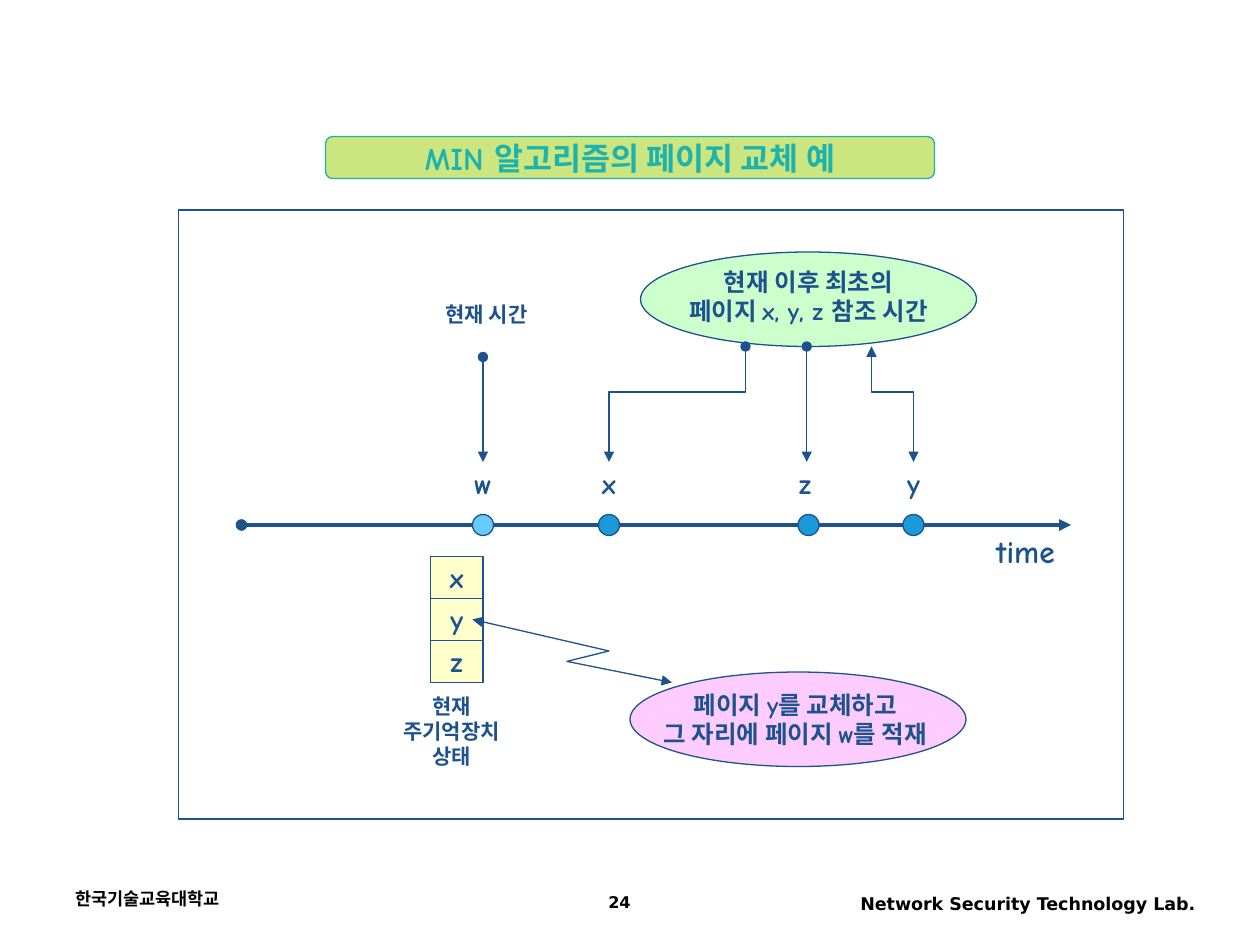
"""Build the slide on page replacement with the MIN algorithm."""
from lxml import etree
from pptx import Presentation
from pptx.dml.color import RGBColor
from pptx.enum.shapes import MSO_CONNECTOR, MSO_SHAPE
from pptx.enum.text import MSO_ANCHOR, MSO_AUTO_SIZE, PP_ALIGN
from pptx.oxml.ns import qn
from pptx.util import Pt

OVAL, RECT = MSO_SHAPE.OVAL, MSO_SHAPE.RECTANGLE
BANNER = MSO_SHAPE.FLOWCHART_ALTERNATE_PROCESS
STRAIGHT = MSO_CONNECTOR.STRAIGHT
LEFT, CENTER, RIGHT = PP_ALIGN.LEFT, PP_ALIGN.CENTER, PP_ALIGN.RIGHT
MIDDLE = MSO_ANCHOR.MIDDLE
NO_FIT = MSO_AUTO_SIZE.NONE
BODY, FOOT = "Comic Neue", "DejaVu Sans"
COLORS = {
    "navy": "1D528D", "teal": "1DB3AC", "lime": "99CC00", "mint": "CCFFCC",
    "pink": "FFCCFF", "cream": "FFFFCC", "sky": "66CCFF", "blue": "1B9AD9",
    "black": "000000",
}


def write(tf, lines, size, color="navy", font=BODY, align=CENTER):
    for i, line in enumerate(lines):
        p = tf.paragraphs[0] if i == 0 else tf.add_paragraph()
        p.alignment = align
        r = p.add_run()
        r.text = line
        r.font.size, r.font.bold, r.font.name = Pt(size), True, font
        r.font.color.rgb = RGBColor.from_string(COLORS[color])


def style(shape, fill=None, line="navy", width=0.75, head=None, tail=None):
    if fill:
        shape.fill.solid()
        shape.fill.fore_color.rgb = RGBColor.from_string(COLORS[fill])
    elif hasattr(shape, "fill"):
        shape.fill.background()
    shape.line.color.rgb = RGBColor.from_string(COLORS[line])
    shape.line.width = Pt(width)
    ln = shape.line._get_or_add_ln()
    for tag, end in (("a:headEnd", head), ("a:tailEnd", tail)):
        if end:
            etree.SubElement(ln, qn(tag), type=end)
    if hasattr(shape, "shadow"):
        shape.shadow.inherit = False
    else:
        etree.SubElement(ln.getparent(), qn("a:effectLst"))


prs = Presentation()
prs.slide_width, prs.slide_height = Pt(720), Pt(540)
s = prs.slides.add_slide(prs.slide_layouts[5])

banner = s.shapes.add_shape(BANNER, Pt(186), Pt(78), Pt(348), Pt(24))
style(banner, "lime", "teal")
lime = banner.element.spPr.find(qn("a:solidFill"))[0]
etree.SubElement(lime, qn("a:alpha"), val="50000")

title = s.shapes.title
title.left, title.top, title.width, title.height = Pt(186), Pt(78), Pt(348), Pt(24)
banner.element.addnext(title.element)
tf = title.text_frame
tf.word_wrap, tf.auto_size, tf.vertical_anchor = False, NO_FIT, MIDDLE
write(tf, ["MIN 알고리즘의 페이지 교체 예"], 18, "teal")

frame = s.shapes.add_shape(RECT, Pt(102), Pt(120), Pt(540), Pt(348))
style(frame)

for x, y, fill in ((366, 144, "mint"), (360, 384, "pink")):
    bubble = s.shapes.add_shape(OVAL, Pt(x), Pt(y), Pt(192), Pt(54))
    style(bubble, fill)

for x1, y1, x2, y2, width in (
    (138, 300, 612, 300, 2.25),
    (276, 204, 276, 264, 0.75),
    (461, 198, 461, 264, 0.75),
):
    arrow = s.shapes.add_connector(STRAIGHT, Pt(x1), Pt(y1), Pt(x2), Pt(y2))
    style(arrow, width=width, head="oval", tail="triangle")

for x, fill in ((276, "sky"), (348, "blue"), (462, "blue"), (522, "blue")):
    dot = s.shapes.add_shape(OVAL, Pt(x - 6), Pt(294), Pt(12), Pt(12))
    style(dot, fill)

for i, page in enumerate("xyz"):
    cell = s.shapes.add_shape(RECT, Pt(246), Pt(318 + 24 * i), Pt(30), Pt(24))
    style(cell, "cream")
    tf = cell.text_frame
    tf.word_wrap, tf.vertical_anchor = False, MIDDLE
    write(tf, [page], 16)

for points, tail in (
    (((348, 264), (348, 224.5), (426, 224.5), (426, 198)), "oval"),
    (((498, 198), (498, 224.5), (522, 224.5), (522, 264)), "triangle"),
    (((270, 354), (348, 372), (324, 378), (384, 390)), "triangle"),
):
    builder = s.shapes.build_freeform(*points[0], scale=Pt(1))
    builder.add_line_segments(points[1:], close=False)
    style(builder.convert_to_shape(), head="triangle", tail=tail)

for x, y, w, h, size, lines in (
    (246, 169, 64, 21.6, 12, ["현재 시간"]),
    (263, 263, 26, 26.6, 16, ["w"]),
    (336, 263, 24, 26.6, 16, ["x"]),
    (448, 263, 24, 26.6, 16, ["z"]),
    (510, 263, 24, 26.6, 16, ["y"]),
    (556, 300.5, 60, 28.8, 18, ["time"]),
    (213, 392.8, 90, 50.4, 12, ["현재", "주기억장치", "상태"]),
    (377, 148.8, 170, 41, 14, ["현재 이후 최초의", "페이지 x, y, z 참조 시간"]),
    (362, 390.7, 185, 41, 14, ["페이지 y를 교체하고", "그 자리에 페이지 w를 적재"]),
):
    tf = s.shapes.add_textbox(Pt(x), Pt(y), Pt(w), Pt(h)).text_frame
    tf.word_wrap, tf.auto_size = False, NO_FIT
    write(tf, lines, size)

for x, y, w, h, size, align, text in (
    (36, 504, 168, 24, 10, LEFT, "한국기술교육대학교"),
    (270, 506.5, 168, 20, 9.2, CENTER, "24"),
    (462, 507, 228, 23, 10, RIGHT, "Network Security Technology Lab."),
):
    tf = s.shapes.add_textbox(Pt(x), Pt(y), Pt(w), Pt(h)).text_frame
    tf.word_wrap = True
    write(tf, [text], size, "black", FOOT, align)

prs.save("out.pptx")
